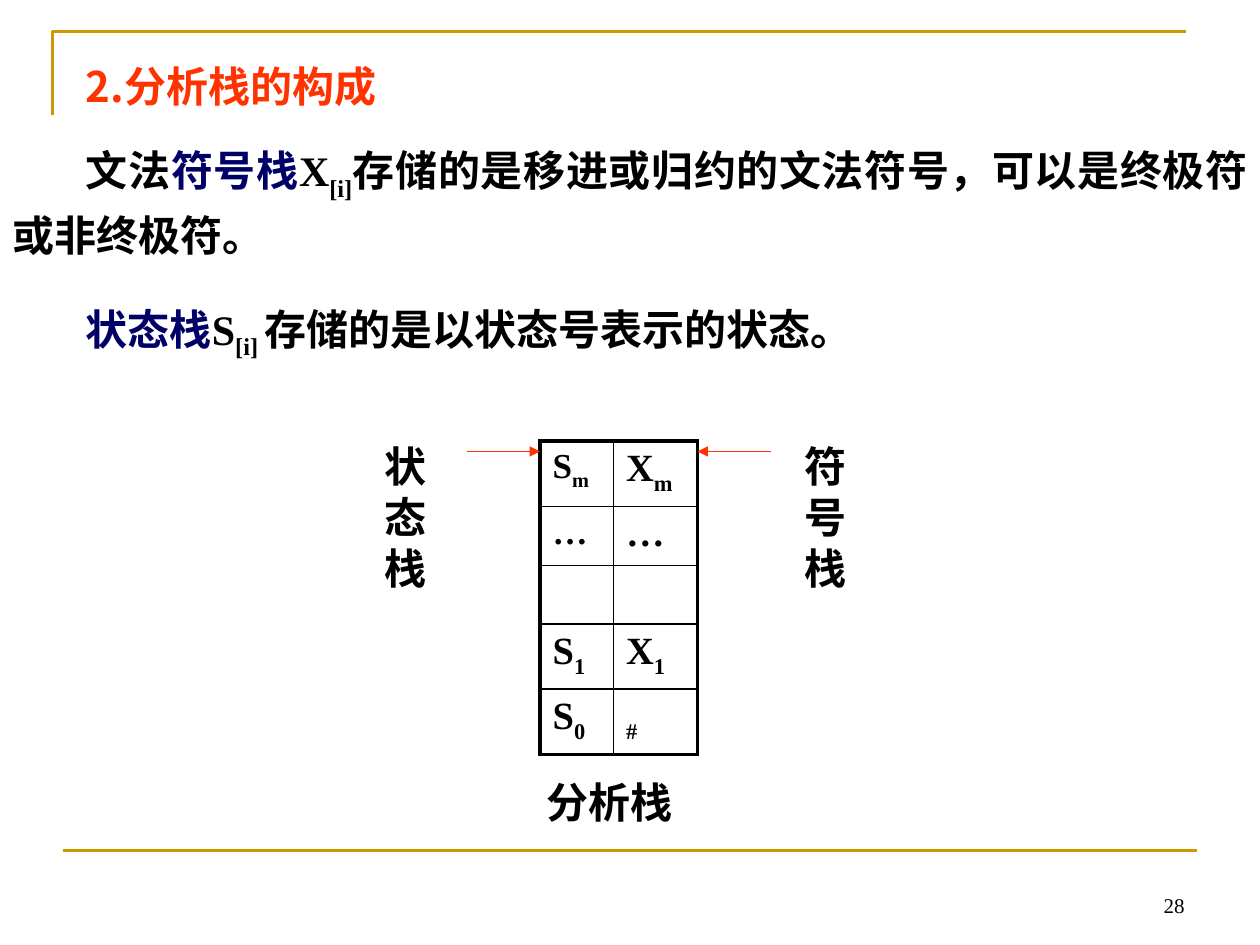
from lxml.etree import SubElement
from pptx import Presentation
from pptx.dml.color import RGBColor
from pptx.enum.shapes import MSO_CONNECTOR
from pptx.enum.text import MSO_ANCHOR, PP_ALIGN
from pptx.oxml.ns import qn
from pptx.util import Pt

SANS, SERIF = "Noto Sans CJK SC", "Times New Roman"
BLACK, NAVY, RED, GOLD = "000000", "000066", "FF3300", "CC9900"


def colour(code):
    return RGBColor.from_string(code)


def apply(target, values):
    for key, value in values.items():
        setattr(target, key, value)


class StackSlide:
    """Holds the style and the current slide, and draws each kind of element."""

    def __init__(self, presentation):
        self.slide = presentation.slides.add_slide(presentation.slide_layouts[6])
        self.shapes = self.slide.shapes

    def run(self, paragraph, text, size=24, font=SANS, ink=BLACK, bold=True, sub=False):
        run = paragraph.add_run()
        run.text = text
        apply(run.font, {"size": Pt(size), "bold": bold, "name": font})
        run.font.color.rgb = colour(ink)
        properties = run._r.get_or_add_rPr()
        SubElement(properties, qn("a:ea"), typeface=font)
        if sub:
            properties.set("baseline", "-25000")

    def text(self, box, paragraphs, paragraph_format, indent=0, gap=0, anchor=MSO_ANCHOR.TOP):
        frame = self.shapes.add_textbox(*map(Pt, box)).text_frame
        apply(frame, {"word_wrap": True, "vertical_anchor": anchor})
        for index, runs in enumerate(paragraphs):
            paragraph = frame.add_paragraph() if index else frame.paragraphs[0]
            apply(paragraph, paragraph_format)
            if index:
                paragraph.space_before = Pt(gap)
            if indent:
                paragraph._p.get_or_add_pPr().set("indent", str(Pt(indent)))
            for text, style in runs:
                self.run(paragraph, text, **style)

    def label(self, box, text, ink=BLACK):
        self.text(box, [[(text, {"ink": ink})]], {"line_spacing": Pt(29.1)})

    def line(self, start, end, ink, width, arrow=False):
        connector = self.shapes.add_connector(MSO_CONNECTOR.STRAIGHT, *map(Pt, start + end))
        connector.line.color.rgb = colour(ink)
        connector.line.width = Pt(width)
        if arrow:
            SubElement(connector.line._get_or_add_ln(), qn("a:tailEnd"), type="triangle")
        SubElement(connector._element.spPr, qn("a:effectLst"))

    def corner(self, points, ink, width):
        first, *rest = [tuple(map(Pt, point)) for point in points]
        builder = self.shapes.build_freeform(*first)
        builder.add_line_segments(rest, close=False)
        corner = builder.convert_to_shape()
        corner.shadow.inherit = False
        corner.fill.background()
        corner.line.color.rgb = colour(ink)
        corner.line.width = Pt(width)

    def borders(self, cell, outer):
        properties = cell._tc.get_or_add_tcPr()
        for side in "LRTB":
            width = Pt(2.25 if side in outer else 1)
            border = SubElement(properties, qn(f"a:ln{side}"), w=str(width))
            fill = SubElement(border, qn("a:solidFill"))
            SubElement(fill, qn("a:srgbClr"), val=BLACK)

    def table(self, left, top, widths, heights, rows):
        frame = self.shapes.add_table(len(rows), len(widths), Pt(left), Pt(top),
                                      Pt(sum(widths)), Pt(sum(heights)))
        table = frame.table
        apply(table, {"first_row": False, "horz_banding": False})
        for column, width in zip(table.columns, widths):
            column.width = Pt(width)
        for row, height in zip(table.rows, heights):
            row.height = Pt(height)
        for r, row in enumerate(rows):
            for c, (symbol, subscript, size) in enumerate(row):
                cell = table.cell(r, c)
                edges = {"L": c == 0, "R": c == len(widths) - 1,
                         "T": r == 0, "B": r == len(rows) - 1}
                self.borders(cell, [side for side, outer in edges.items() if outer])
                cell.fill.background()
                for text, sub in ((symbol, False), (subscript, True)):
                    if text:
                        self.run(cell.text_frame.paragraphs[0], text, size, SERIF, sub=sub)


def main():
    presentation = Presentation()
    apply(presentation, {"slide_width": Pt(720), "slide_height": Pt(540)})
    page = StackSlide(presentation)

    page.corner([(30, 66), (30, 18), (678, 18)], GOLD, 1.5)
    page.line((36, 486), (684, 486), GOLD, 1.5)
    page.text((516, 492, 168, 36), [[("28", {"size": 12, "font": SERIF, "bold": False})]],
              {"alignment": PP_ALIGN.RIGHT}, anchor=MSO_ANCHOR.BOTTOM)

    serif, subscript, navy = {"font": SERIF}, {"font": SERIF, "sub": True}, {"ink": NAVY}
    symbol_stack = [("文法", {}), ("符号栈", navy), ("X", serif), ("[i]", subscript),
                    ("存储的是移进或归约的文法符号，可以是终极符或非终极符。", {})]
    state_stack = [("状态栈", navy), ("S", serif), ("[i] ", subscript),
                   ("存储的是以状态号表示的状态。", {})]
    page.text((0, 78.9, 720, 131), [symbol_stack, state_stack],
              {"alignment": PP_ALIGN.JUSTIFY, "line_spacing": Pt(33)}, indent=42, gap=24.7)

    page.table(308.6, 252, (42, 48), (37.4, 33.6, 33.6, 37.2, 37.4), [
        [("S", "m", 20), ("X", "m", 22)],
        [("…", "", 20), ("…", "", 22)],
        [("", "", 22), ("", "", 22)],
        [("S", "1", 22), ("X", "1", 22)],
        [("S", "0", 22), ("", "#", 22)],
    ])
    for tail, tip in ((266.6, 308.6), (440.6, 398.6)):
        page.line((tail, 258), (tip, 258), RED, 0.75, arrow=True)

    page.label((212.4, 248, 42, 94.5), "状态栈")
    page.label((452.9, 248, 36, 94.5), "符号栈")
    page.label((305.3, 440, 91.4, 36), "分析栈")
    page.label((42, 30.8, 672, 36.7), "2.分析栈的构成", RED)

    presentation.save("out.pptx")


if __name__ == "__main__":
    main()
